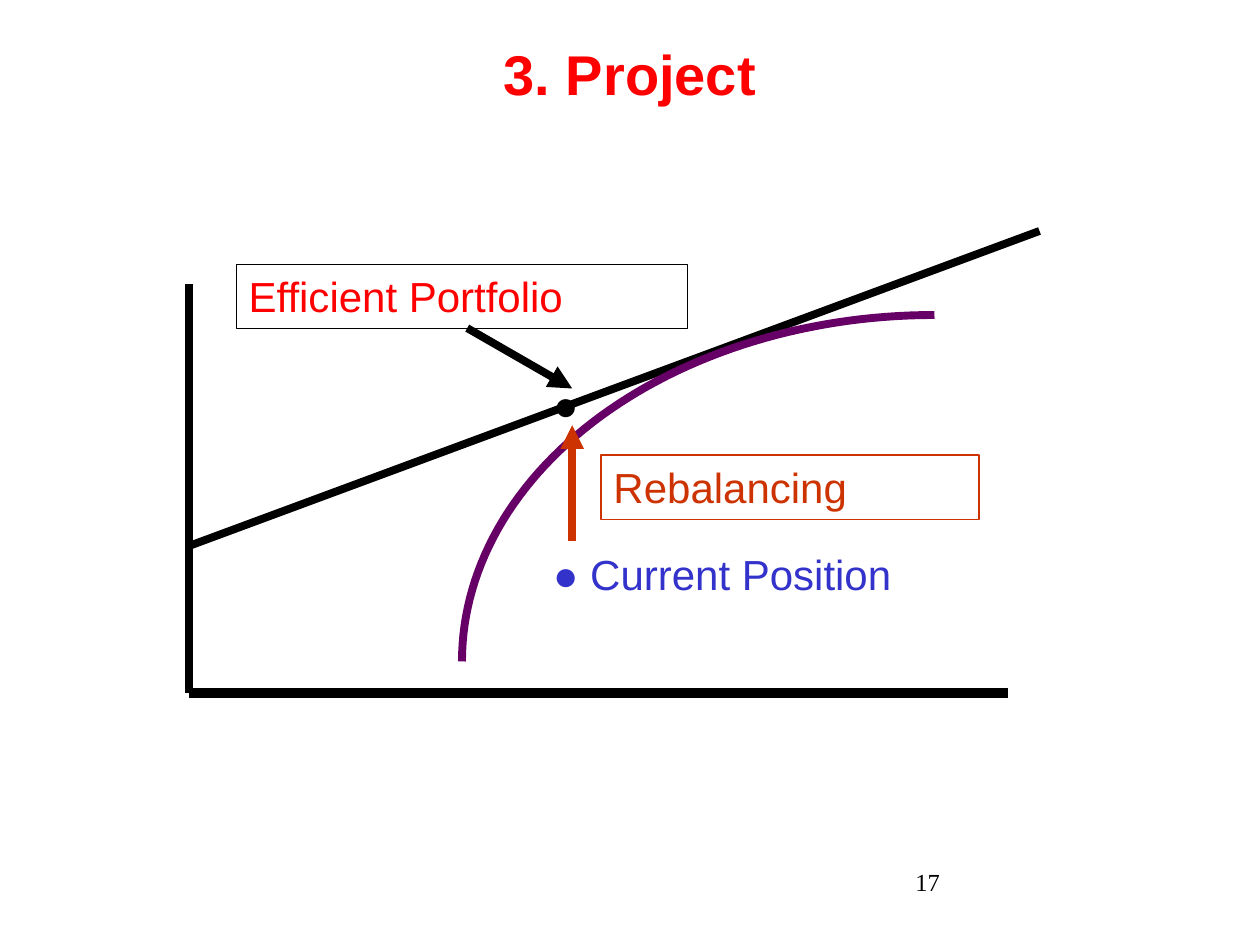
"""Builds the slide on rebalancing a portfolio towards the efficient frontier."""
from math import cos, pi, sin

from lxml.etree import SubElement
from pptx import Presentation
from pptx.dml.color import RGBColor
from pptx.enum.shapes import MSO_CONNECTOR, MSO_SHAPE
from pptx.enum.text import MSO_ANCHOR, PP_ALIGN
from pptx.oxml.ns import qn
from pptx.util import Pt

COLORS = {
    "black": "000000",
    "red": "FF0000",
    "rust": "CC3300",
    "blue": "3333CC",
    "purple": "660066",
}


def rgb(name):
    return RGBColor.from_string(COLORS[name])


def write(shape, text, color, size=24, font="Arial", bold=False,
          align=PP_ALIGN.LEFT, anchor=MSO_ANCHOR.TOP):
    frame = shape.text_frame
    frame.word_wrap = True
    frame.vertical_anchor = anchor
    paragraph = frame.paragraphs[0]
    paragraph.alignment = align
    run = paragraph.add_run()
    run.text = text
    run.font.name = font
    run.font.size = Pt(size)
    run.font.bold = bold
    run.font.color.rgb = rgb(color)


def add_title(slide, text):
    title = slide.shapes.title
    title.left, title.top, title.width, title.height = Pt(0), Pt(0), Pt(720), Pt(84)
    write(title, text, "red", size=32, bold=True,
          align=PP_ALIGN.CENTER, anchor=MSO_ANCHOR.MIDDLE)


def add_label(slide, box, text, color, **style):
    label = slide.shapes.add_textbox(*map(Pt, box))
    write(label, text, color, **style)


def add_framed_label(slide, box, text, color, border):
    label = slide.shapes.add_shape(MSO_SHAPE.RECTANGLE, *map(Pt, box))
    label.shadow.inherit = False
    label.fill.background()
    label.line.color.rgb = rgb(border)
    label.line.width = Pt(0.75)
    write(label, text, color)


def add_line(slide, start, end, color="black", width=4.5, arrow=False):
    line = slide.shapes.add_connector(MSO_CONNECTOR.STRAIGHT, *map(Pt, start + end))
    line.line.color.rgb = rgb(color)
    line.line.width = Pt(width)
    if arrow:
        SubElement(line.line._get_or_add_ln(), qn("a:tailEnd"), type="triangle")
    SubElement(line._element.spPr, qn("a:effectLst"))


def add_frontier(slide, center, radii, color, steps=60):
    angles = [pi / 2 * step / steps for step in range(steps + 1)]
    points = [(Pt(center[0] - radii[0] * sin(angle)),
               Pt(center[1] - radii[1] * cos(angle))) for angle in angles]
    builder = slide.shapes.build_freeform(*points[0])
    builder.add_line_segments(points[1:], close=False)
    frontier = builder.convert_to_shape()
    frontier.shadow.inherit = False
    frontier.fill.background()
    frontier.line.color.rgb = rgb(color)
    frontier.line.width = Pt(4.5)


def main():
    prs = Presentation()
    prs.slide_width, prs.slide_height = Pt(720), Pt(540)
    slide = prs.slides.add_slide(prs.slide_layouts[5])
    add_title(slide, "3. Project")
    add_label(slide, (516, 492, 150, 36), "17", "black",
              size=14, font="Times New Roman")

    origin = (108, 396)
    add_line(slide, (108, 162), origin)
    add_line(slide, origin, (576, 396), width=6)
    add_line(slide, (108, 312), (594, 132))
    add_frontier(slide, center=(534, 378), radii=(270, 198), color="purple")

    add_label(slide, (309, 309.6, 300, 36.7), "● Current Position", "blue")
    add_line(slide, (327, 309), (327, 243), "rust", arrow=True)
    add_framed_label(slide, (343.5, 260, 216, 36.7), "Rebalancing", "rust", "rust")

    add_label(slide, (309, 213, 84, 36), "●", "black", font="Times New Roman")
    add_framed_label(slide, (135, 151.2, 258, 36.7), "Efficient Portfolio",
                     "red", "black")
    add_line(slide, (267, 187.5), (327, 222), arrow=True)
    prs.save("out.pptx")


if __name__ == "__main__":
    main()
